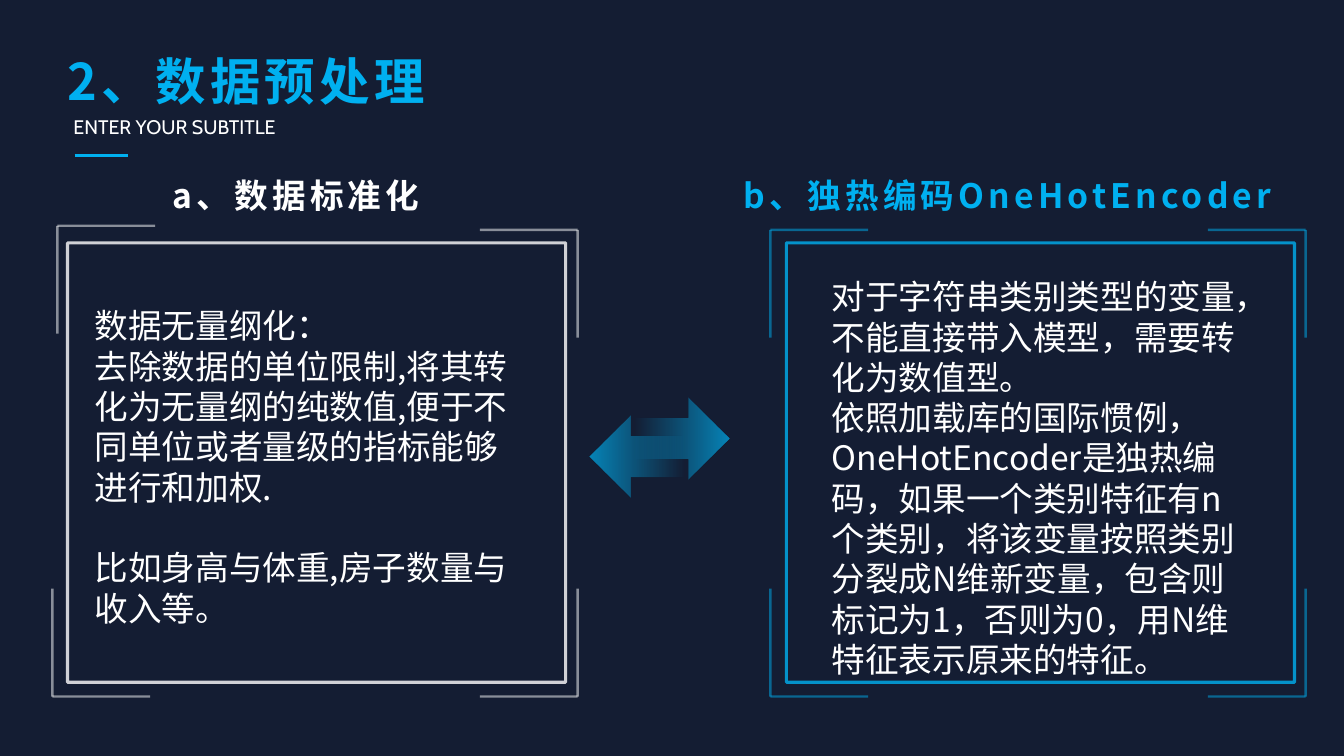
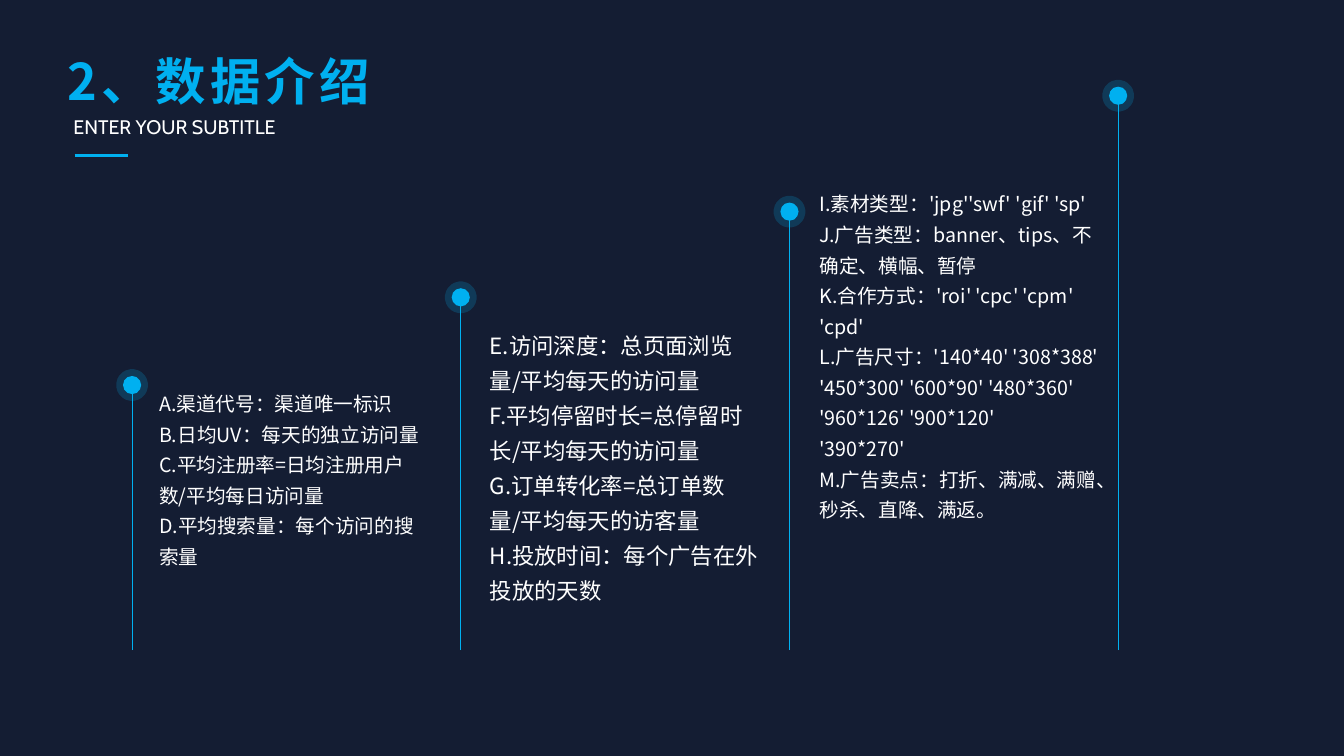
from lxml.etree import SubElement
from pptx import Presentation
from pptx.dml.color import RGBColor
from pptx.enum.shapes import MSO_CONNECTOR, MSO_SHAPE
from pptx.enum.text import MSO_ANCHOR, PP_ALIGN
from pptx.oxml.ns import qn
from pptx.util import Inches, Pt

STRAIGHT = MSO_CONNECTOR.STRAIGHT
RECT = MSO_SHAPE.RECTANGLE
OVAL = MSO_SHAPE.OVAL
ARROW = MSO_SHAPE.RIGHT_ARROW
MIDDLE = MSO_ANCHOR.MIDDLE
CENTER = PP_ALIGN.CENTER
JUSTIFY = PP_ALIGN.JUSTIFY

NAVY, BLUE, WHITE = "141D33", "00B0F0", "FFFFFF"
BODY, HEAD, LATIN = "Noto Sans CJK SC", "Noto Sans CJK JP", "Cabin"


def rgb(color):
    return RGBColor.from_string(color)


def fade(node, alpha):
    for color in node.iter(qn("a:srgbClr")):
        SubElement(color, qn("a:alpha")).set("val", str(alpha * 1000))


class Deck:
    """Hold the deck style and the slide being drawn."""

    def __init__(self):
        self.prs = Presentation()
        self.prs.slide_width = Inches(13.33)
        self.prs.slide_height = Inches(7.5)
        self.slide = None

    def page(self, title):
        self.slide = self.prs.slides.add_slide(self.prs.slide_layouts[6])
        fill = self.slide.background.fill
        fill.solid()
        fill.fore_color.rgb = rgb(NAVY)
        box = self.text((0.57, 0.52, 11.5, 0.64), [title], 36, BLUE, HEAD,
                        spacing=0.9, bold=True)
        box.text_frame.vertical_anchor = MIDDLE
        self.text((0.63, 1.09, 2.51, 0.34), ["ENTER YOUR SUBTITLE"], 14,
                  font=LATIN, align=JUSTIFY)
        self.line(0.74, 1.54, 1.27, 1.54, BLUE, 2)

    def text(self, area, lines, size, color=WHITE, font=BODY, align=None,
             spacing=None, bold=False):
        box = self.slide.shapes.add_textbox(*map(Inches, area))
        frame = box.text_frame
        frame.word_wrap = True
        frame.text = "\n".join(lines)
        for para in frame.paragraphs:
            para.alignment = align
            para.line_spacing = spacing
            for run in para.runs:
                run.font.size = Pt(size)
                run.font.bold = bold
                run.font.color.rgb = rgb(color)
                run.font.name = font
                props = run._r.get_or_add_rPr()
                SubElement(props, qn("a:ea")).set("typeface", font)
                if bold:
                    props.set("spc", "300")
        return box

    def line(self, x1, y1, x2, y2, color, width, alpha=100):
        line = self.slide.shapes.add_connector(
            STRAIGHT, *map(Inches, (x1, y1, x2, y2)))
        line.line.color.rgb = rgb(color)
        line.line.width = Pt(width)
        props = line._element.spPr
        fade(props, alpha)
        SubElement(props, qn("a:effectLst"))

    def shape(self, kind, area):
        shape = self.slide.shapes.add_shape(kind, *map(Inches, area))
        shape.shadow.inherit = False
        return shape

    def edge(self, shape, color, width, alpha):
        shape.line.color.rgb = rgb(color)
        shape.line.width = Pt(width)
        fade(shape.line._get_or_add_ln(), alpha)

    def frame(self, area, color, corners):
        rect = self.shape(RECT, area)
        rect.fill.background()
        self.edge(rect, color, 2.25, 80)
        left, top, width, height = area
        for x, y in corners:
            dx = 0.97 if x < left + width / 2 else -0.97
            dy = 1.07 if y < top + height / 2 else -1.07
            self.line(x, y, x + dx, y, color, 1.75, 50)
            self.line(x, y, x, y + dy, color, 1.75, 50)

    def arrow(self, x, y, flip=False):
        arrow = self.shape(ARROW, (x, y, 1.05, 0.82))
        arrow.line.fill.background()
        arrow.fill.gradient()
        arrow.fill.gradient_angle = 0
        stops = arrow.fill.gradient_stops
        for stop, place, alpha in zip(stops, (0.11, 1), (0, 70)):
            stop.position = place
            stop.color.rgb = rgb(BLUE)
            fade(stop._gs, alpha)
        if flip:
            arrow._element.spPr.xfrm.set("flipH", "1")

    def pin(self, x, y):
        self.line(x, 6.45, x, y + 0.06, BLUE, 0.5)
        dot = self.shape(OVAL, (x - 0.09, y - 0.09, 0.18, 0.18))
        dot.fill.solid()
        dot.fill.fore_color.rgb = rgb(BLUE)
        self.edge(dot, BLUE, 10, 20)


def prep(deck):
    deck.page("2、数据预处理")
    deck.frame((0.67, 2.41, 4.94, 4.36), WHITE,
               [(0.57, 2.24), (5.73, 2.28), (0.52, 6.91), (5.73, 6.91)])
    deck.frame((7.8, 2.41, 5.04, 4.36), BLUE,
               [(x, y) for x in (7.64, 12.95) for y in (2.28, 6.91)])
    heads = [
        ((1.54, 1.69, 2.79, 0.5), "a、数据标准化", WHITE),
        ((7.1, 1.69, 5.79, 0.5), "b、独热编码OneHotEncoder", BLUE),
    ]
    for area, head, color in heads:
        deck.text(area, [head], 24, color, HEAD, CENTER, bold=True)
    box = deck.text((0.84, 2.98, 4.42, 3.33), [
        "数据无量纲化：",
        "去除数据的单位限制,将其转化为无量纲的纯数值,"
        "便于不同单位或者量级的指标能够进行和加权.",
        "比如身高与体重,房子数量与收入等。",
    ], 24)
    box.text_frame.paragraphs[-1].space_before = Pt(28.8)
    deck.text((8.15, 2.69, 4.26, 4.14), [
        "对于字符串类别类型的变量，不能直接带入模型，需要转化为数值型。",
        "依照加载库的国际惯例，OneHotEncoder是独热编码，"
        "如果一个类别特征有n个类别，将该变量按照类别分裂成N维新变量，"
        "包含则标记为1，否则为0，用N维特征表示原来的特征。",
    ], 24)
    deck.arrow(6.18, 3.94)
    deck.arrow(5.85, 4.12, flip=True)


def intro(deck):
    deck.page("2、数据介绍")
    for i, y in enumerate((3.82, 2.95, 2.1, 0.95)):
        deck.pin(1.31 + 3.26 * i, y)
    notes = [
        ((1.48, 3.77, 2.84, 1.93), 14, [
            "A.渠道代号：渠道唯一标识",
            "B.日均UV：每天的独立访问量",
            "C.平均注册率=日均注册用户数/平均每日访问量",
            "D.平均搜索量：每个访问的搜索量",
        ]),
        ((4.76, 3.17, 2.99, 2.9), 16, [
            "E.访问深度：总页面浏览量/平均每天的访问量",
            "F.平均停留时长=总停留时长/平均每天的访问量",
            "G.订单转化率=总订单数量/平均每天的访客量",
            "H.投放时间：每个广告在外投放的天数",
        ]),
        ((8.03, 1.79, 3.07, 3.77), 14, [
            "I.素材类型：'jpg''swf' 'gif' 'sp'",
            "J.广告类型：banner、tips、不确定、横幅、暂停",
            "K.合作方式：'roi' 'cpc' 'cpm' 'cpd'",
            "L.广告尺寸：'140*40' '308*388' '450*300' '600*90' "
            "'480*360' '960*126' '900*120'",
            "'390*270'",
            "M.广告卖点：打折、满减、满赠、秒杀、直降、满返。",
        ]),
    ]
    for area, size, lines in notes:
        deck.text(area, lines, size, spacing=1.3)


def main():
    deck = Deck()
    prep(deck)
    intro(deck)
    deck.prs.save("out.pptx")


if __name__ == "__main__":
    main()
